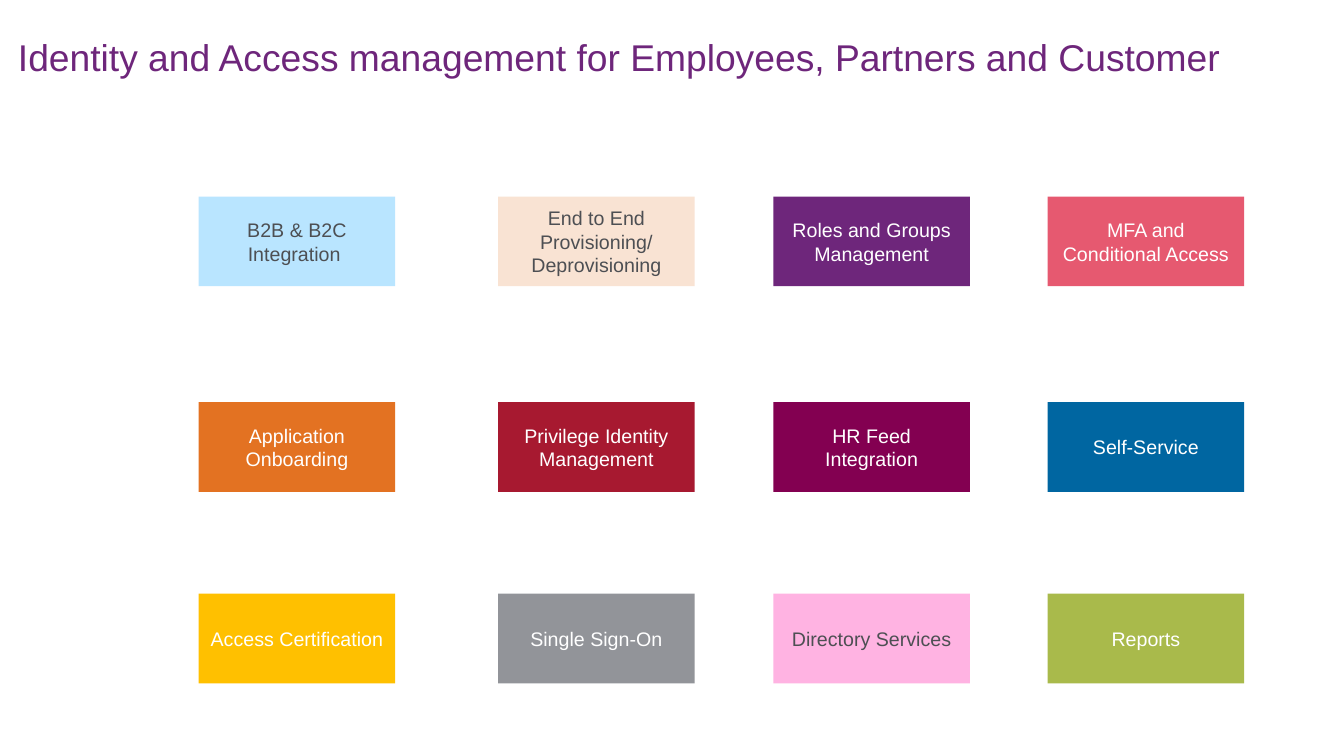
"""Build the identity and access management capability slide."""
from dataclasses import dataclass
from itertools import product

from pptx import Presentation
from pptx.dml.color import RGBColor
from pptx.enum.shapes import MSO_SHAPE as Shape
from pptx.enum.text import MSO_ANCHOR as Anchor, PP_ALIGN as Align
from pptx.shapes.autoshape import Shape as AutoShape
from pptx.slide import Slide
from pptx.util import Emu, Pt

EMU_PER_PX = 9144
PURPLE, WHITE, GRAY = "6E267B", "FFFFFF", "4D4F53"
COLUMN_LEFTS = (197, 494, 767, 1039)
ROW_TOPS = (195, 399, 589)
TILE_WIDTH, TILE_HEIGHT = 195, 89


@dataclass(frozen=True)
class Tile:
    """A coloured capability box."""

    text: str
    fill: str
    color: str = WHITE


TILES = (
    Tile("B2B & B2C\nIntegration ", "B9E5FF", GRAY),
    Tile("End to End Provisioning/\nDeprovisioning", "F9E3D3", GRAY),
    Tile("Roles and Groups Management", PURPLE),
    Tile("MFA and Conditional Access", "E65970"),
    Tile("Application\nOnboarding", "E37222"),
    Tile("Privilege Identity Management", "A71930"),
    Tile("HR Feed Integration", "830051"),
    Tile("Self-Service", "0066A1"),
    Tile("Access Certification", "FFC000"),
    Tile("Single Sign-On", "929499"),
    Tile("Directory Services", "FFB3E2", GRAY),
    Tile("Reports", "A9BA4B"),
)


def px(length: int) -> Emu:
    """Convert pixels to EMU."""
    return Emu(length * EMU_PER_PX)


def rgb(value: str) -> RGBColor:
    """Convert a hex string to a colour."""
    return RGBColor.from_string(value)


def write_text(shape: AutoShape, text: str, size: float, color: str, align: Align) -> None:
    """Fill a shape with vertically centred Arial text."""
    frame = shape.text_frame
    frame.word_wrap = True
    frame.vertical_anchor = Anchor.MIDDLE
    frame.text = text
    font_format = {"name": "Arial", "size": Pt(size)}
    for paragraph in frame.paragraphs:
        paragraph.alignment = align
        for run in paragraph.runs:
            for attribute, value in font_format.items():
                setattr(run.font, attribute, value)
            run.font.color.rgb = rgb(color)


def add_tile(slide: Slide, tile: Tile, left: int, top: int) -> None:
    """Draw one capability box."""
    shape = slide.shapes.add_shape(
        Shape.RECTANGLE, px(left), px(top), px(TILE_WIDTH), px(TILE_HEIGHT))
    shape.shadow.inherit = False
    shape.fill.solid()
    shape.fill.fore_color.rgb = rgb(tile.fill)
    shape.line.fill.background()
    write_text(shape, tile.text, 14, tile.color, Align.CENTER)


def main() -> None:
    """Create and save the presentation."""
    presentation = Presentation()
    presentation.slide_width, presentation.slide_height = px(1333), px(750)
    slide = presentation.slides.add_slide(presentation.slide_layouts[6])
    for tile, (top, left) in zip(TILES, product(ROW_TOPS, COLUMN_LEFTS)):
        add_tile(slide, tile, left, top)
    title = slide.shapes.add_textbox(px(8), px(11), px(1325), px(90))
    write_text(title, "Identity and Access management for Employees, Partners and Customer",
               26.6, PURPLE, Align.JUSTIFY)
    presentation.save("out.pptx")


if __name__ == "__main__":
    main()
